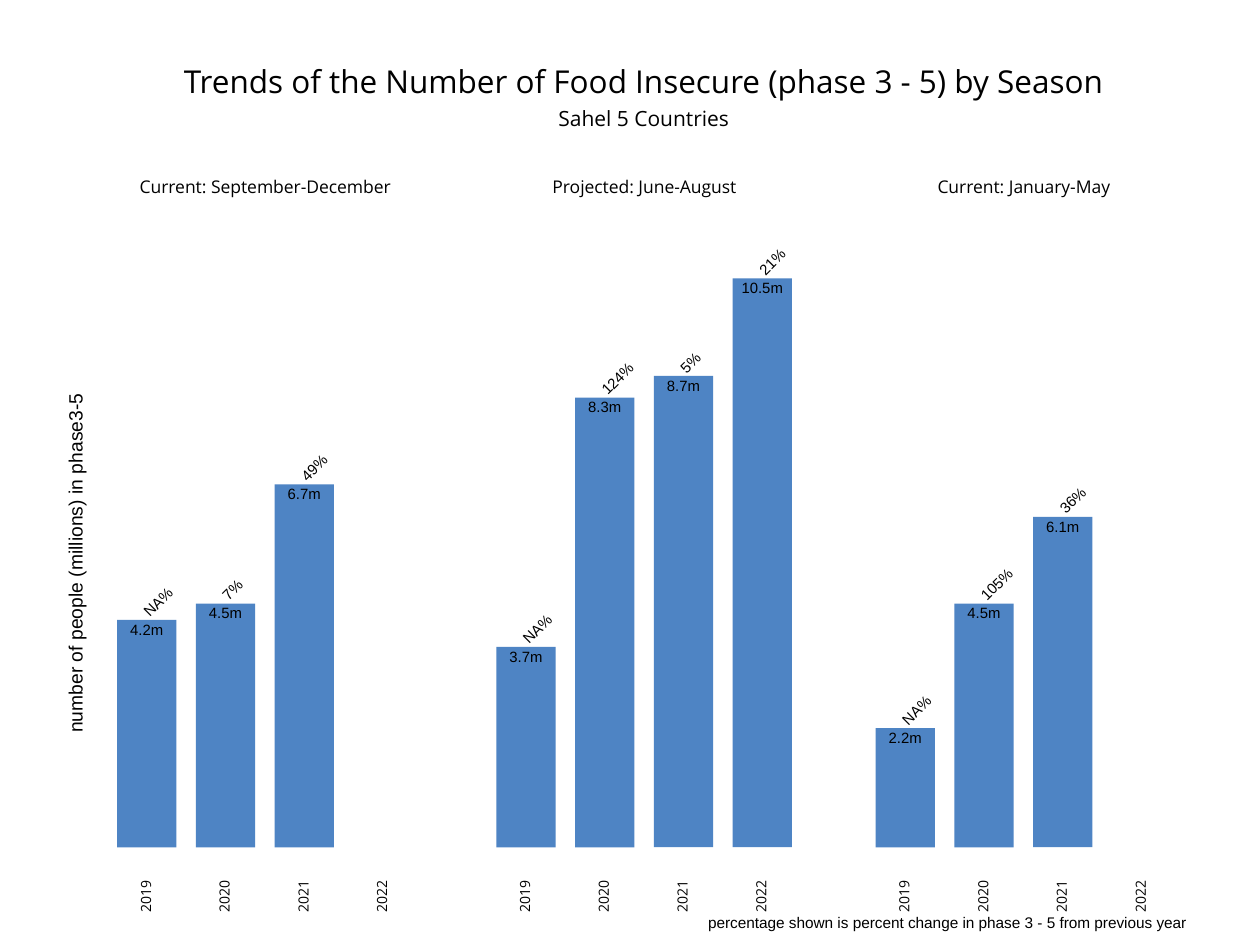
import math

from pptx import Presentation
from pptx import util as u
from pptx.dml.color import RGBColor
from pptx.enum import shapes, text

SANS, ARIAL = "Open Sans", "Arial"
YEARS = ["2019", "2020", "2021", "2022"]
# Season, heading width, then millions of people and percent change per year
SEASONS = [
    ("Current: September-December", 1.91,
     [(4.2, "NA%"), (4.5, "7%"), (6.7, "49%")]),
    ("Projected: June-August", 1.44,
     [(3.7, "NA%"), (8.3, "124%"), (8.7, "5%"), (10.5, "21%")]),
    ("Current: January-May", 1.34,
     [(2.2, "NA%"), (4.5, "105%"), (6.1, "36%")]),
]
WIDTHS = {"NA%": 0.27, 2: 0.17, 3: 0.24, 4: 0.3}
BAR, STEP = 0.47, 0.625    # bar width and distance between bars
UNIT = 0.43                # inches per million


def color(code):
    return RGBColor.from_string(code)


def rect(slide, x, y, w, h, fill, line=None):
    box = slide.shapes.add_shape(
        shapes.MSO_SHAPE.RECTANGLE, *map(u.Inches, (x, y, w, h)))
    box.shadow.inherit = False
    box.fill.solid()
    box.fill.fore_color.rgb = color(fill)
    if line:
        box.line.color.rgb = color(line)
        box.line.width = u.Pt(0.75)
    else:
        box.line.fill.background()


def label(slide, words, mid_x, mid_y, w, size, font=ARIAL, turn=0, h=0.1):
    """One line of text centred on a point, with a little room to spare."""
    w = w * 1.04 + 0.04
    box = slide.shapes.add_textbox(
        *map(u.Inches, (mid_x - w / 2, mid_y - h / 2, w, h)))
    box.rotation = turn
    frame = box.text_frame
    form = {"margin_left": 0, "margin_right": 0, "margin_top": 0,
            "margin_bottom": 0, "word_wrap": False,
            "vertical_anchor": text.MSO_ANCHOR.MIDDLE}
    for key, val in form.items():
        setattr(frame, key, val)
    para = frame.paragraphs[0]
    para.alignment = text.PP_ALIGN.CENTER
    para.line_spacing = u.Pt(size)
    run = para.add_run()
    run.text = words
    for key, val in {"size": u.Pt(size), "name": font}.items():
        setattr(run.font, key, val)
    run.font.color.rgb = color("000000")


def bar(slide, x, base, num, change):
    """A bar with its value inside and its slanted change above."""
    top = base - num * UNIT
    rect(slide, x, top, BAR, base - top, "4E84C4")
    label(slide, f"{num}m", x + BAR / 2, top + 0.085,
          0.33 if num >= 10 else 0.26, 8.5, h=0.09)
    w = WIDTHS.get(change) or WIDTHS[len(change)]
    shift = w / 2 * math.cos(math.radians(45))
    label(slide, change, x + BAR / 2 + shift, top - 0.04 - shift,
          w, 8.5, turn=315, h=0.09)


def panel(slide, x, y, w, h, season):
    """One season: heading, bars and years in the given box."""
    name, wide, data = season
    label(slide, name, x + w / 2, y + 0.065, wide, 10, SANS, h=0.13)
    for i, (num, change) in enumerate(data):
        bar(slide, x + i * STEP, y + h, num, change)
    for i, year in enumerate(YEARS):
        label(slide, year, x + i * STEP + BAR / 2, y + h + 0.39,
              0.25, 8, SANS, 270, 0.08)


def titles(slide, x, y, w, h):
    """Title, subtitle, axis title and footnote around the panels."""
    mid = x + w / 2 + 0.11
    label(slide, "Trends of the Number of Food Insecure (phase 3 - 5) by Season",
          mid, y + 0.165, 7.11, 18, SANS, h=0.23)
    label(slide, "Sahel 5 Countries", mid, y + 0.45, 1.32, 12, SANS, h=0.12)
    label(slide, "number of people (millions) in phase3-5",
          x + 0.11, y + 3.97, 2.68, 11, turn=270, h=0.14)
    label(slide, "percentage shown is percent change in phase 3 - 5 "
          "from previous year", x + 7.02, y + h - 0.165, 3.82, 8.8, h=0.11)


def main():
    deck = Presentation()
    deck.slide_width, deck.slide_height = u.Inches(10), u.Inches(7.5)
    slide = deck.slides.add_slide(deck.slide_layouts[6])
    rect(slide, 0.5, 0.5, 9, 7, "FFFFFF", "FFFFFF")
    for i, season in enumerate(SEASONS):
        panel(slide, 0.93 + i * 3.01, 1.43, 2.35, 5.295, season)
    titles(slide, 0.5, 0.5, 9, 7)
    deck.save("out.pptx")


if __name__ == "__main__":
    main()
